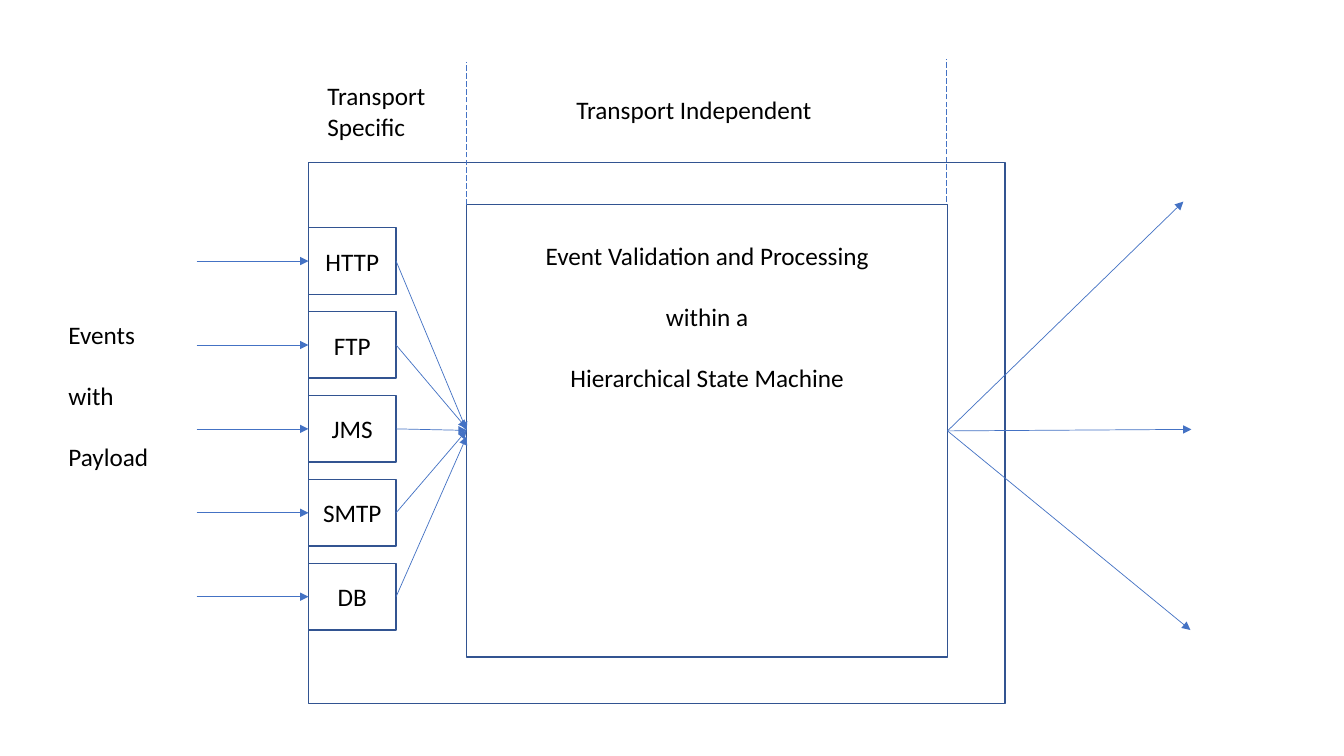
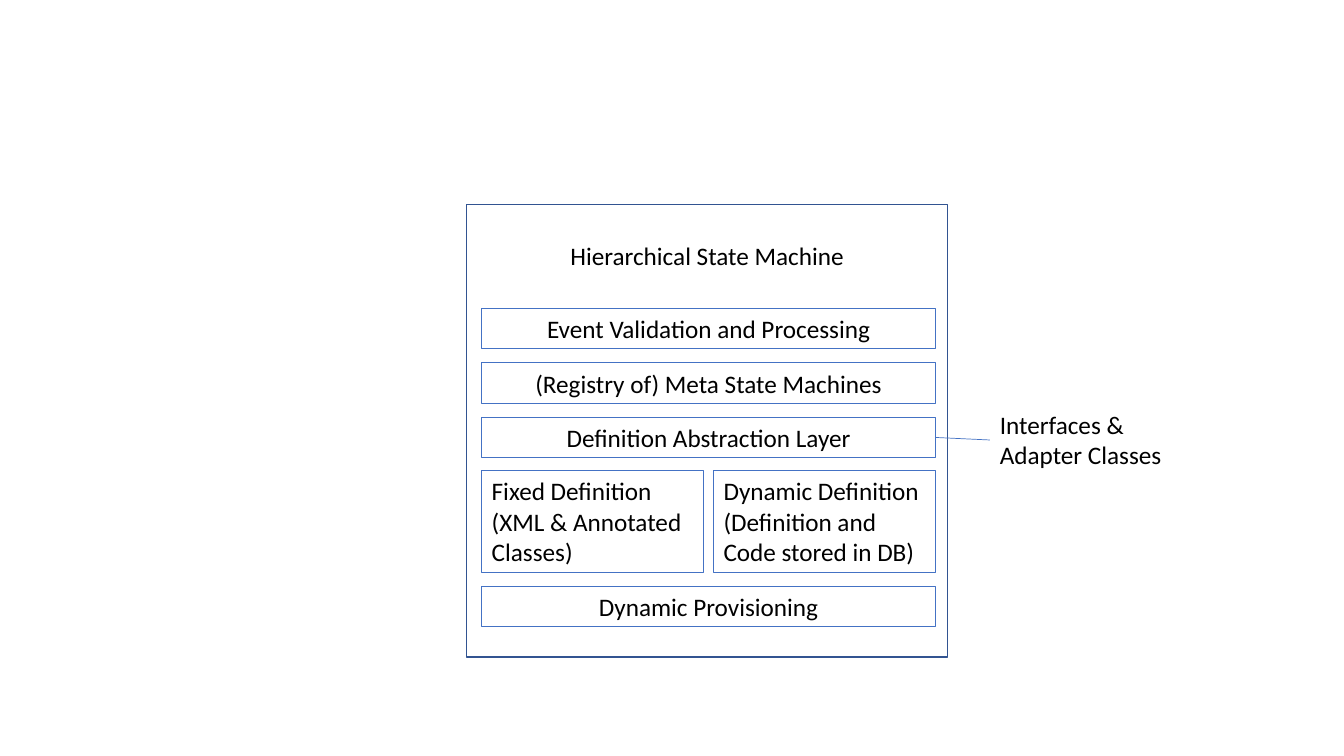
import dataclasses
import typing

import lxml.etree
import pptx
import pptx.dml.color
import pptx.enum.dml
import pptx.enum.shapes
import pptx.enum.text
import pptx.oxml.ns
import pptx.util

# Slide grid: 40 columns by 30 rows
WIDTH = pptx.util.Inches(13.333)
HEIGHT = pptx.util.Inches(7.5)
COLUMN = WIDTH / 40
ROW = HEIGHT / 30

# Shared style
NAVY = pptx.dml.color.RGBColor(0x32, 0x54, 0x91)
BLUE = pptx.dml.color.RGBColor(0x44, 0x72, 0xC4)
BLACK = pptx.dml.color.RGBColor(0, 0, 0)
WHITE = pptx.dml.color.RGBColor(255, 255, 255)
LINE_HEIGHT = pptx.util.Pt(22)
MARGIN = pptx.util.Inches(0.05)
FONT = {"name": "Calibri", "size": pptx.util.Pt(18)}
TOP = pptx.enum.text.MSO_ANCHOR.TOP
MIDDLE = pptx.enum.text.MSO_ANCHOR.MIDDLE
LEFT = pptx.enum.text.PP_ALIGN.LEFT
CENTER = pptx.enum.text.PP_ALIGN.CENTER


@dataclasses.dataclass(frozen=True)
class Box:
    """A text area in columns and rows, with an outline if it has a colour."""
    column: float
    row: float
    columns: float
    rows: float
    lines: tuple[str, ...] = ()
    outline: typing.Optional[pptx.dml.color.RGBColor] = None
    weight: float = 1
    fill: typing.Optional[pptx.dml.color.RGBColor] = None
    align: pptx.enum.text.PP_ALIGN = LEFT
    anchor: pptx.enum.text.MSO_ANCHOR = TOP
    lead: int = 0  # empty lines above the text
    spaced: bool = False  # one line of space between paragraphs

    @property
    def right(self) -> float:
        return self.column + self.columns

    @property
    def middle(self) -> float:
        return self.row + self.rows / 2


@dataclasses.dataclass(frozen=True)
class Link:
    """A straight line between two grid points."""
    start: tuple[float, float]
    end: tuple[float, float]
    arrow: bool = True
    dashed: bool = False


def set_format(target: typing.Any, values: dict[str, typing.Any]) -> None:
    for name, value in values.items():
        setattr(target, name, value)


def across(columns: float) -> int:
    return round(columns * COLUMN)


def down(rows: float) -> int:
    return round(rows * ROW)


def draw_box(page: typing.Any, box: Box) -> None:
    place = (across(box.column), down(box.row),
             across(box.columns), down(box.rows))
    if box.outline is None:
        shape = page.shapes.add_textbox(*place)
    else:
        shape = page.shapes.add_shape(
            pptx.enum.shapes.MSO_SHAPE.RECTANGLE, *place)
        shape.shadow.inherit = False
        shape.line.color.rgb = box.outline
        shape.line.width = pptx.util.Pt(box.weight)
        if box.fill is None:
            shape.fill.background()
        else:
            shape.fill.solid()
            shape.fill.fore_color.rgb = box.fill
    frame = shape.text_frame
    set_format(frame, {
        "word_wrap": True,
        "vertical_anchor": box.anchor,
        "margin_top": MARGIN + box.lead * LINE_HEIGHT,
    })
    if box.outline is None:
        frame.margin_right = 0
    for index, line in enumerate(box.lines):
        para = frame.paragraphs[0] if index == 0 else frame.add_paragraph()
        para.alignment = box.align
        if box.spaced and index > 0:
            para.space_before = LINE_HEIGHT
        span = para.add_run()
        span.text = line
        set_format(span.font, FONT)
        span.font.color.rgb = BLACK


def draw_link(page: typing.Any, link: Link) -> None:
    connector = page.shapes.add_connector(
        pptx.enum.shapes.MSO_CONNECTOR.STRAIGHT,
        across(link.start[0]), down(link.start[1]),
        across(link.end[0]), down(link.end[1]))
    connector.line.color.rgb = BLUE
    connector.line.width = pptx.util.Pt(0.5)
    if link.dashed:
        connector.line.dash_style = pptx.enum.dml.MSO_LINE.LONG_DASH
    qualify = pptx.oxml.ns.qn
    if link.arrow:
        lxml.etree.SubElement(connector.line._get_or_add_ln(),
                              qualify("a:tailEnd"), type="triangle")
    lxml.etree.SubElement(connector._element.spPr, qualify("a:effectLst"))


def draw_page(deck: typing.Any, boxes: list[Box], links: list[Link]) -> None:
    page = deck.slides.add_slide(deck.slide_layouts[6])
    for box in boxes:
        draw_box(page, box)
    for link in links:
        draw_link(page, link)


# The state machine panel stands in the same place on both slides
machine = Box(13.89, 8.12, 14.31, 17.96, outline=NAVY, align=CENTER,
              lead=1, spaced=True)

# Slide 1: transports feed the state machine
system = Box(9.18, 6.44, 20.73, 21.48, outline=NAVY, fill=WHITE)
transports = [
    Box(system.column, 9.04 + 3.33 * index, 2.61, 2.64, (name,),
        outline=NAVY, align=CENTER, anchor=MIDDLE)
    for index, name in enumerate(("HTTP", "FTP", "JMS", "SMTP", "DB"))
]
processing = dataclasses.replace(machine, lines=(
    "Event Validation and Processing", "within a",
    "Hierarchical State Machine"))
flow_labels = [
    Box(1.74, 12.48, 3, 6.48, ("Events", "with", "Payload"), spaced=True),
    Box(9.45, 3, 3.54, 2.84, ("Transport", "Specific")),
    Box(16.86, 3.56, 8.22, 1.6, ("Transport Independent",)),
]
incoming = [Link((5.85, box.middle), (box.column, box.middle))
            for box in transports]
entry_rows = (17.08, 17, 17.08, 17.08, 17.32)
entering = [Link((box.right, box.middle), (machine.column, row))
            for box, row in zip(transports, entry_rows)]
targets = ((35.22, 8), (35.46, 17.04), (35.43, 25))
outgoing = [Link((machine.right, machine.middle), target)
            for target in targets]
borders = [
    Link((column, bottom), (column, bottom - 5.64), arrow=False, dashed=True)
    for column, bottom in ((machine.column, machine.row), (28.17, 8))
]

# Slide 2: layers inside the state machine
titled_machine = dataclasses.replace(
    machine, lines=("Hierarchical State Machine",))
layer_rows = {
    "Event Validation and Processing": 12.24,
    "(Registry of) Meta State Machines": 14.4,
    "Definition Abstraction Layer": 16.56,
    "Dynamic Provisioning": 23.28,
}
layers = [Box(14.34, row, 13.5, 1.6, (name,), outline=BLUE, weight=0.75,
              align=CENTER)
          for name, row in layer_rows.items()]
abstraction = layers[2]
definition_lines = (
    ("Fixed Definition", "(XML & Annotated Classes)"),
    ("Dynamic Definition", "(Definition and Code stored in DB)"),
)
definitions = [
    Box(abstraction.column + 6.9 * index, 18.68, 6.6, 4.04, lines,
        outline=BLUE, weight=0.75)
    for index, lines in enumerate(definition_lines)
]
interfaces = Box(29.46, 16.04, 6.84, 2.84,
                 ("Interfaces &", "Adapter Classes"))
callout = Link((abstraction.right, abstraction.middle),
               (interfaces.column, interfaces.middle), arrow=False)

# Build the deck
deck = pptx.Presentation()
set_format(deck, {"slide_width": WIDTH, "slide_height": HEIGHT})
draw_page(deck, [system, *transports, processing, *flow_labels],
          [*incoming, *entering, *outgoing, *borders])
draw_page(deck, [titled_machine, *definitions, *layers, interfaces],
          [callout])
deck.save("out.pptx")
